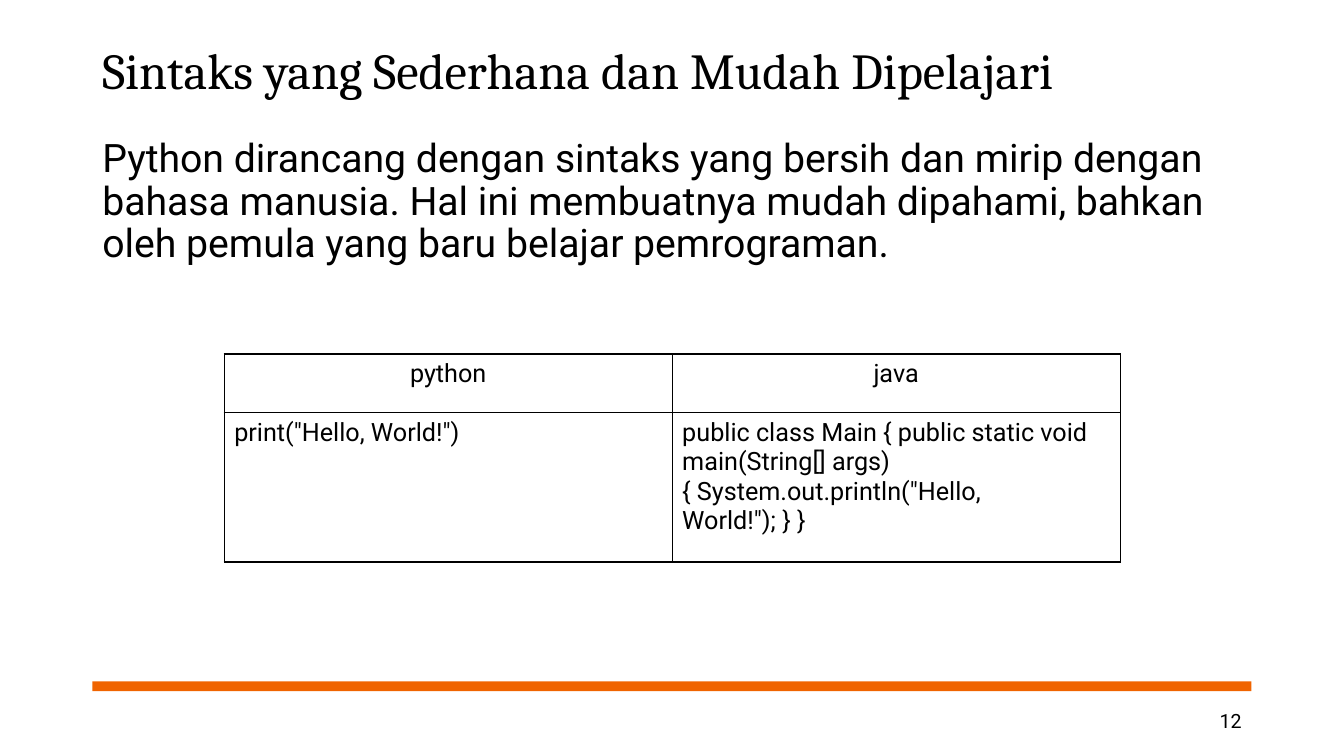
from lxml.etree import SubElement
from pptx import Presentation
from pptx.dml.color import RGBColor
from pptx.enum.shapes import MSO_SHAPE
from pptx.enum.text import MSO_ANCHOR, PP_ALIGN
from pptx.oxml.ns import qn
from pptx.util import Cm, Pt

# Content
TITLE = "Sintaks yang Sederhana dan Mudah Dipelajari"
BODY = (
    "Python dirancang dengan sintaks yang bersih dan mirip dengan bahasa manusia. "
    "Hal ini membuatnya mudah dipahami, bahkan oleh pemula yang baru belajar pemrograman."
)
CODE_ROWS = [
    ("python", "java"),
    (
        'print("Hello, World!")',
        "public class Main { public static void main(String[] args) "
        '{ System.out.println("Hello, World!"); } }',
    ),
]
PAGE_NUMBER = "12"

# Layout in centimetres
SLIDE_WIDTH, SLIDE_HEIGHT = 33.87, 19.05
MARGIN = 2.33
CONTENT_WIDTH = SLIDE_WIDTH - 2 * MARGIN
NUMBER_WIDTH = 7.62
TABLE_LEFT, TABLE_TOP = 5.65, 8.92
COLUMN_WIDTH = 11.29
ROW_HEIGHTS = (1.48, 3.76)

BLACK, ORANGE = "000000", "F06400"


def color(hex_string):
    return RGBColor.from_string(hex_string)


def write_text(frame, text, size, font="Roboto", align=PP_ALIGN.LEFT, line_spacing=None):
    frame.word_wrap = True
    paragraph = frame.paragraphs[0]
    paragraph.alignment = align
    paragraph.line_spacing = line_spacing
    run = paragraph.add_run()
    run.text = text
    run.font.name = font
    run.font.size = Pt(size)
    run.font.color.rgb = color(BLACK)


def add_text(slide, box, text, anchor=MSO_ANCHOR.TOP, **text_format):
    frame = slide.shapes.add_textbox(*map(Cm, box)).text_frame
    frame.vertical_anchor = anchor
    write_text(frame, text, **text_format)


def add_borders(cell):
    properties = cell._tc.get_or_add_tcPr()
    for side in ("a:lnL", "a:lnR", "a:lnT", "a:lnB"):
        line = SubElement(properties, qn(side), w=str(Pt(1)))
        fill = SubElement(line, qn("a:solidFill"))
        SubElement(fill, qn("a:srgbClr"), val=BLACK)


def add_code_table(slide):
    column_count = len(CODE_ROWS[0])
    table = slide.shapes.add_table(
        len(CODE_ROWS), column_count, Cm(TABLE_LEFT), Cm(TABLE_TOP),
        Cm(COLUMN_WIDTH * column_count), Cm(sum(ROW_HEIGHTS)),
    ).table
    table.first_row = table.horz_banding = False
    for column in table.columns:
        column.width = Cm(COLUMN_WIDTH)
    for row_index, texts in enumerate(CODE_ROWS):
        table.rows[row_index].height = Cm(ROW_HEIGHTS[row_index])
        align = PP_ALIGN.CENTER if row_index == 0 else PP_ALIGN.LEFT
        for column_index, text in enumerate(texts):
            cell = table.cell(row_index, column_index)
            add_borders(cell)
            cell.fill.background()
            write_text(cell.text_frame, text, size=18, align=align)


def main():
    presentation = Presentation()
    presentation.slide_width = Cm(SLIDE_WIDTH)
    presentation.slide_height = Cm(SLIDE_HEIGHT)
    slide = presentation.slides.add_slide(presentation.slide_layouts[6])

    # Footer bar
    bar = slide.shapes.add_shape(
        MSO_SHAPE.RECTANGLE, Cm(MARGIN), Cm(17.17), Cm(CONTENT_WIDTH), Cm(0.25)
    )
    bar.shadow.inherit = False
    bar.fill.solid()
    bar.fill.fore_color.rgb = color(ORANGE)
    bar.line.fill.background()

    # Title, body and page number
    add_text(slide, (MARGIN, 0.61, CONTENT_WIDTH, 2.49), TITLE,
             anchor=MSO_ANCHOR.MIDDLE, size=36, font="Cambria", line_spacing=0.9)
    add_text(slide, (MARGIN, 3.38, CONTENT_WIDTH, 5.23), BODY, size=28, line_spacing=0.9)
    number_left = SLIDE_WIDTH - MARGIN - NUMBER_WIDTH
    add_text(slide, (number_left, 17.65, NUMBER_WIDTH, 1.02), PAGE_NUMBER,
             anchor=MSO_ANCHOR.MIDDLE, size=14, align=PP_ALIGN.RIGHT)

    # Code comparison
    add_code_table(slide)
    presentation.save("out.pptx")


if __name__ == "__main__":
    main()
